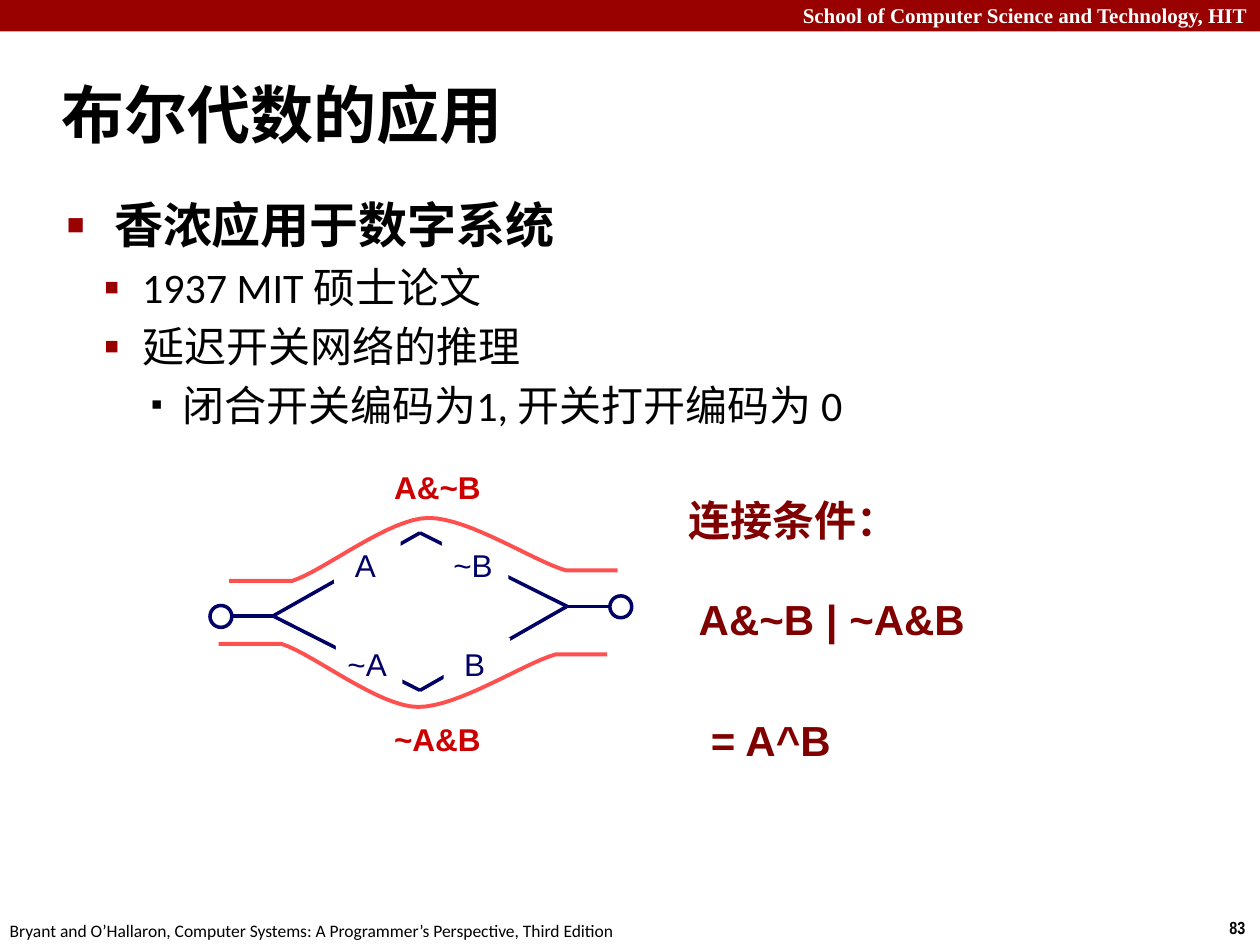
import lxml.etree
import pptx
import pptx.dml.color
import pptx.enum.shapes
import pptx.enum.text
import pptx.oxml.ns
import pptx.util

Pt = pptx.util.Pt
qn = pptx.oxml.ns.qn
SHAPES = pptx.enum.shapes.MSO_SHAPE
ALIGN = pptx.enum.text.PP_ALIGN
ANCHOR = pptx.enum.text.MSO_ANCHOR
NAVY, RED, CURVE_RED, MAROON, DARK_RED = "000066", "CC0000", "FF5050", "800000", "990000"


def colour(code):
    return pptx.dml.color.RGBColor.from_string(code)


def write(para, text, code, **font_format):
    """Add one run of text to a paragraph, with its colour and font values."""
    span = para.add_run()
    span.text = text
    span.font.color.rgb = colour(code)
    for name, value in font_format.items():
        setattr(span.font, name, value)


deck = pptx.Presentation()
deck.slide_width, deck.slide_height = Pt(720), Pt(540)
page = deck.slides.add_slide(deck.slide_layouts[1])
shapes = page.shapes

# Header bar
bar = shapes.add_shape(SHAPES.RECTANGLE, 0, 0, Pt(720), Pt(18))
bar.shadow.inherit = False
bar.fill.solid()
bar.fill.fore_color.rgb = colour(DARK_RED)
bar.line.fill.background()

# Title
title = shapes.title
title.left, title.top, title.width, title.height = Pt(28), Pt(34.5), Pt(692), Pt(60)
title.text_frame.vertical_anchor = ANCHOR.MIDDLE
title.text_frame.auto_size = pptx.enum.text.MSO_AUTO_SIZE.NONE
title.text_frame.paragraphs[0].alignment = ALIGN.LEFT
write(title.text_frame.paragraphs[0], "布尔代数的应用", "000000",
      size=Pt(36), name="Calibri", bold=True)

# Bullet list: text, level, size, bold, left margin, hanging indent, bullet, its colour and percent
body = page.placeholders[1]
body.left, body.top, body.width, body.height = Pt(31), Pt(107.5), Pt(677), Pt(392)
body.text_frame.auto_size = pptx.enum.text.MSO_AUTO_SIZE.NONE
items = [
    ("香浓应用于数字系统", 0, 28, True, 27, 27, "■", DARK_RED, 60),
    ("1937 MIT 硕士论文", 1, 24, False, 43, 22, "▪", DARK_RED, 110),
    ("延迟开关网络的推理", 1, 24, False, 43, 22, "▪", DARK_RED, 110),
    ("闭合开关编码为1, 开关打开编码为 0", 2, 24, False, 66, 18, "▪", "000000", 80),
]
for index, (text, level, size, bold, margin, hanging, bullet, code, percent) in enumerate(items):
    para = body.text_frame.paragraphs[0] if index == 0 else body.text_frame.add_paragraph()
    para.level = level
    para.space_before = Pt(size * 0.2)
    write(para, text, "000000", size=Pt(size), name="Calibri", bold=bold)
    properties = para._p.get_or_add_pPr()
    properties.set("marL", str(Pt(margin)))
    properties.set("indent", str(-Pt(hanging)))
    bullet_colour = lxml.etree.SubElement(properties, qn("a:buClr"))
    lxml.etree.SubElement(bullet_colour, qn("a:srgbClr"), val=code)
    lxml.etree.SubElement(properties, qn("a:buSzPct"), val=str(percent * 1000))
    lxml.etree.SubElement(properties, qn("a:buFont"), typeface="Arial")
    lxml.etree.SubElement(properties, qn("a:buChar"), char=bullet)

# Wires of the switch network
west, north, south, east = (156, 352), (240, 304.5), (240, 394.5), (324, 346.5)
wires = [(west, north), (west, south), (north, east), (south, east),
         (east, (348.5, 346.5)), ((132.5, 352), west)]
for start, end in wires:
    wire = shapes.add_connector(pptx.enum.shapes.MSO_CONNECTOR.STRAIGHT,
                                *[Pt(value) for value in start + end])
    wire.line.color.rgb = colour(NAVY)
    wire.line.width = Pt(2)
    lxml.etree.SubElement(wire._element.spPr, qn("a:effectLst"))

# Switches
for text, left, top in [("A", 191, 308), ("~A", 192, 364.5),
                        ("~B", 252.5, 308), ("B", 253.5, 364.5)]:
    switch = shapes.add_shape(SHAPES.RECTANGLE, Pt(left), Pt(top), Pt(38), Pt(30))
    switch.shadow.inherit = False
    switch.fill.solid()
    switch.fill.fore_color.rgb = colour("FFFFFF")
    switch.line.fill.background()
    frame = switch.text_frame
    frame.margin_left = frame.margin_top = frame.margin_bottom = Pt(4.5)
    frame.margin_right = Pt(7)
    frame.paragraphs[0].alignment = ALIGN.CENTER
    write(frame.paragraphs[0], text, NAVY, size=Pt(18), name="Arial")

# Terminals
for left, top in [(120, 346), (348.5, 340.5)]:
    terminal = shapes.add_shape(SHAPES.OVAL, Pt(left), Pt(top), Pt(12.5), Pt(12.5))
    terminal.shadow.inherit = False
    terminal.fill.solid()
    terminal.fill.fore_color.rgb = colour("FFFFFF")
    terminal.line.color.rgb = colour(NAVY)
    terminal.line.width = Pt(2)

# Current paths: two Bezier arcs between straight ends; the lower one mirrors the upper
arcs = [((167, 332), (185.5, 326), (222.5, 296), (245, 296)),
        ((245, 296), (268, 296), (305.5, 321), (323.5, 326))]
steps = 16
upper = [(131, 332)]
for arc in arcs:
    for step in range(steps + 1):
        t = step / steps
        weights = ((1 - t) ** 3, 3 * t * (1 - t) ** 2, 3 * t ** 2 * (1 - t), t ** 3)
        upper.append(tuple(sum(w * point[axis] for w, point in zip(weights, arc))
                           for axis in (0, 1)))
upper.append((353, 326))
lower = [(x - 6, 700 - y) for x, y in upper]
for points in (upper, lower):
    points = [(Pt(x), Pt(y)) for x, y in points]
    builder = shapes.build_freeform(*points[0])
    builder.add_line_segments(points[1:], close=False)
    curve = builder.convert_to_shape()
    curve.shadow.inherit = False
    curve.fill.background()
    curve.line.color.rgb = colour(CURVE_RED)
    curve.line.width = Pt(2.25)

# Text boxes: lines, place, margins, alignment, line spacing, font
wide, tight = (7.2, 3.6, 7.2, 3.6), (4.5, 4.5, 3.6, 4.5)
path_font = dict(code=RED, size=Pt(18), name="Arial", bold=True)
result_font = dict(code=MAROON, size=Pt(24), name="Arial", bold=True)
boxes = [
    (["School of Computer Science and Technology, HIT"], (0, -2, 720, 22), wide, ALIGN.RIGHT, 1,
     dict(code="FFFFFF", size=Pt(12), name="Times New Roman", bold=True)),
    (["83"], (695.5, 520.5, 24.5, 19.5), wide, ALIGN.LEFT, 1,
     dict(code="000000", size=Pt(10), name="Arial Narrow", bold=True)),
    (["Bryant and O’Hallaron, Computer Systems: A Programmer’s Perspective, Third Edition"],
     (-1.5, 522, 366, 19.5), wide, ALIGN.LEFT, 1,
     dict(code="000000", size=Pt(10), name="Calibri")),
    (["A&~B"], (220.5, 265.5, 58, 30), tight, ALIGN.CENTER, 0.9, path_font),
    (["~A&B"], (220.5, 409.5, 58, 30), tight, ALIGN.CENTER, 0.9, path_font),
    (["连接条件：", " A&~B | ~A&B"], (389, 278, 170.5, 153.5), tight, ALIGN.LEFT, 1, result_font),
    (["= A^B"], (401, 404, 78, 36.5), tight, ALIGN.CENTER, 1, result_font),
]
for lines, place, margins, alignment, spacing, font in boxes:
    box = shapes.add_textbox(*[Pt(value) for value in place])
    frame = box.text_frame
    frame.word_wrap = False
    for side, margin in zip(("left", "top", "right", "bottom"), margins):
        setattr(frame, f"margin_{side}", Pt(margin))
    for index, text in enumerate(lines):
        para = frame.add_paragraph() if index else frame.paragraphs[0]
        para.alignment = alignment
        para.line_spacing = spacing
        para.space_before = Pt(27.6 * index)
        write(para, text, **font)

deck.save("out.pptx")
